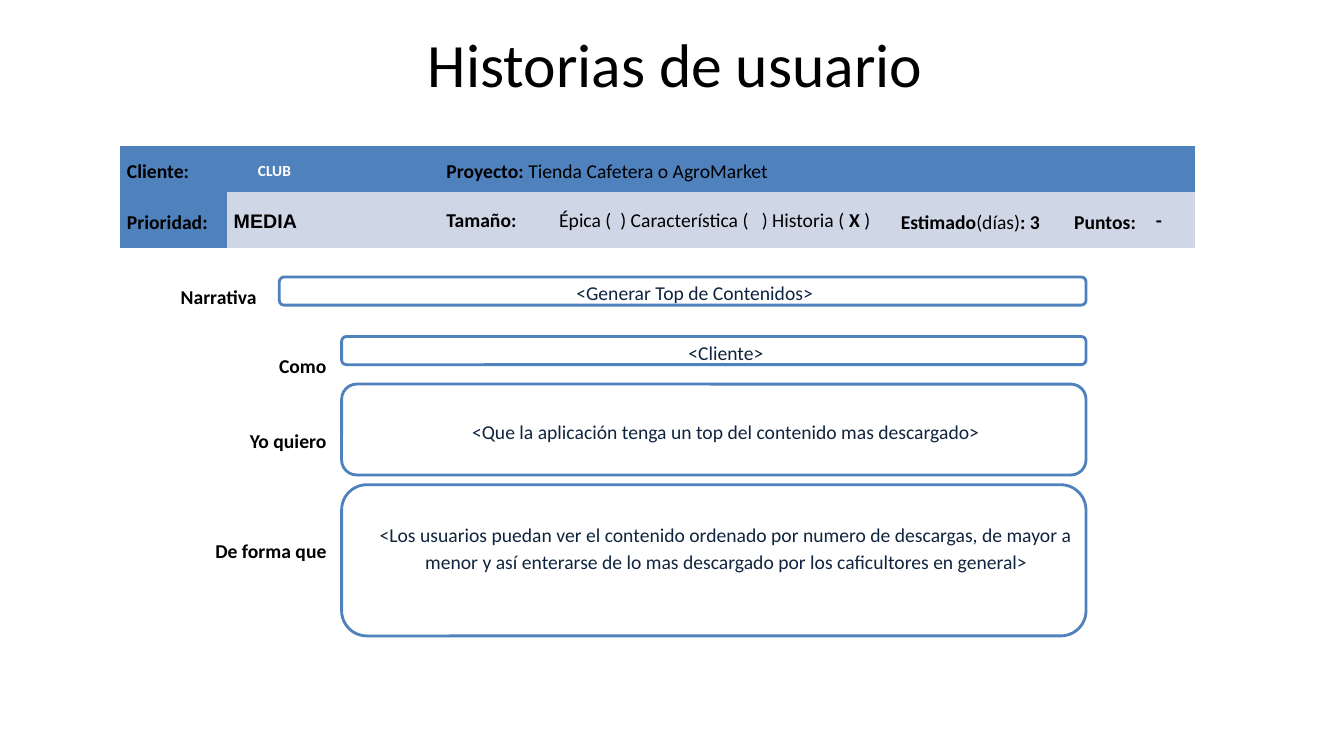
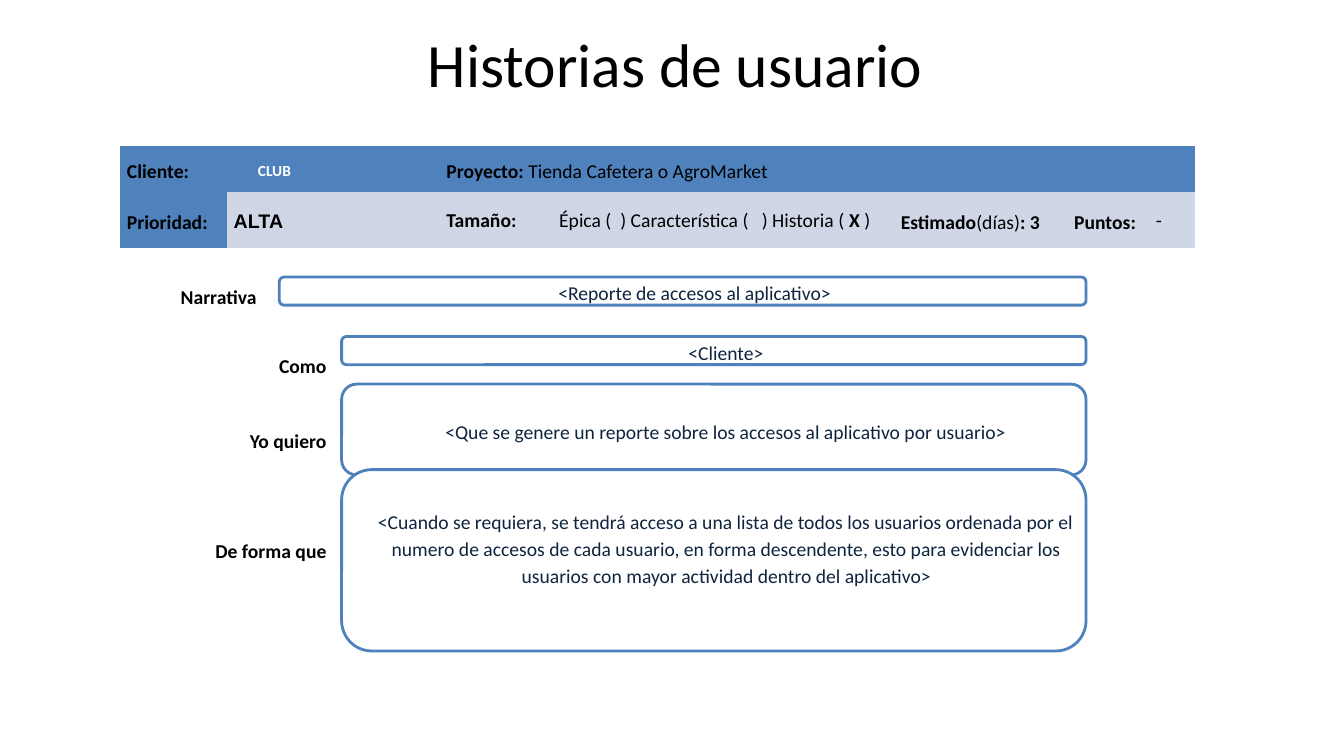
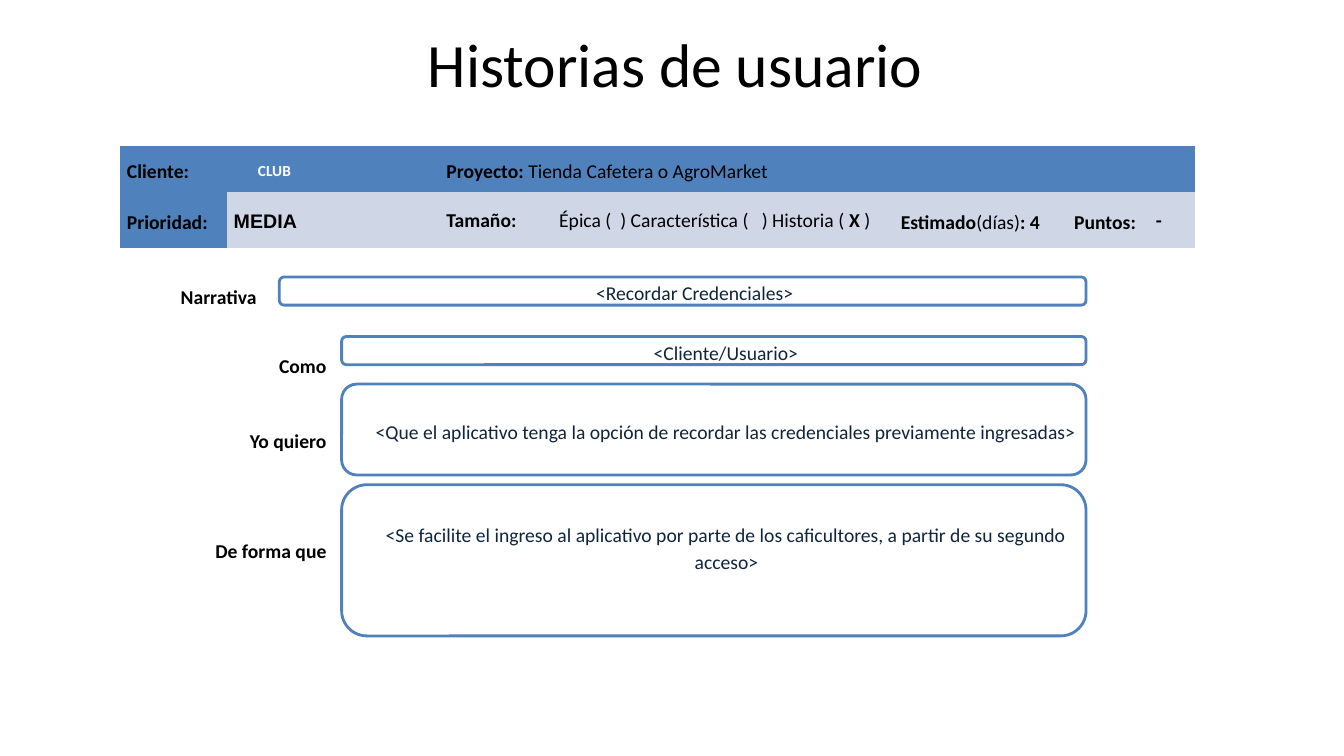
"""Builds three user story cards that share one layout."""
from collections import namedtuple
from dataclasses import dataclass

from pptx import Presentation
from pptx.dml.color import RGBColor
from pptx.enum import shapes, text
from pptx.util import Cm, Pt


@dataclass(frozen=True)
class Theme:
    blue: str = "4F81BD"
    pale: str = "CFD7E7"
    navy: str = "0F243E"
    black: str = "000000"
    white: str = "FFFFFF"
    font: str = "Calibri"
    priority_font: str = "Arial"
    title_size: int = 44
    body_size: int = 14
    client_size: int = 11
    leading: float = 1.15
    indent: float = 0.64
    hanging: float = -0.03
    border: int = 2
    no_grid: str = "{2D5ABB26-0587-4C30-8999-92F81FD0307C}"


THEME = Theme()
ALIGN = text.PP_ALIGN
MIDDLE = text.MSO_ANCHOR.MIDDLE
Story = namedtuple("Story", "priority days points_bold name role wish reason reason_height")

STORIES = [
    Story("MEDIA", 3, True, "<Generar Top de Contenidos>", "<Cliente>",
          "<Que la aplicación tenga un top del contenido mas descargado>",
          "<Los usuarios puedan ver el contenido ordenado por numero de descargas, "
          "de mayor a menor y así enterarse de lo mas descargado por los "
          "caficultores en general>", 3.81),
    Story("ALTA", 3, False, "<Reporte de accesos al aplicativo>", "<Cliente>",
          "<Que se genere un reporte sobre los accesos al aplicativo por usuario>",
          "<Cuando se requiera, se tendrá acceso a una lista de todos los usuarios "
          "ordenada por el numero de accesos de cada usuario, en forma descendente, "
          "esto para evidenciar los usuarios con mayor actividad dentro del "
          "aplicativo>", 4.57),
    Story("MEDIA", 4, True, "<Recordar Credenciales>", "<Cliente/Usuario>",
          "<Que el aplicativo tenga la opción de recordar las credenciales "
          "previamente ingresadas>",
          "<Se facilite el ingreso al aplicativo por parte de los caficultores, "
          "a partir de su segundo acceso>", 3.81),
]


def write(frame, content, size=THEME.body_size, font=THEME.font, color=THEME.black,
          bold=False, align=ALIGN.LEFT, leading=None, indented=False):
    """Write a string, or a list of (string, bold) spans, as one paragraph."""
    para = frame.paragraphs[0]
    para.alignment = align
    if leading:
        para.line_spacing = leading
    if indented:
        properties = para._p.get_or_add_pPr()
        properties.set("marL", str(int(Cm(THEME.indent))))
        properties.set("indent", str(int(Cm(THEME.hanging))))
    spans = [(content, bold)] if isinstance(content, str) else content
    for words, heavy in spans:
        span = para.add_run()
        span.text = words
        span.font.size = Pt(size)
        span.font.name = font
        span.font.bold = heavy
        span.font.color.rgb = RGBColor.from_string(color)


class Deck:
    """Holds the presentation, its theme and the current page."""

    def __init__(self, theme):
        """Start an empty widescreen deck."""
        self.theme = theme
        self.file = Presentation()
        self.file.slide_width, self.file.slide_height = Cm(33.87), Cm(19.05)
        self.page = None

    def add_page(self):
        """Start a blank page."""
        self.page = self.file.slides.add_slide(self.file.slide_layouts[6])

    def title(self, content):
        """Add the centred page title."""
        box = self.page.shapes.add_textbox(Cm(1.78), Cm(0), Cm(30.48), Cm(3.18))
        frame = box.text_frame
        frame.word_wrap = True
        frame.vertical_anchor = MIDDLE
        write(frame, content, size=self.theme.title_size, align=ALIGN.CENTER)

    def table(self, left, top, widths, heights):
        """Add a table without a grid."""
        frame = self.page.shapes.add_table(
            len(heights), len(widths), Cm(left), Cm(top), Cm(sum(widths)), Cm(sum(heights)))
        table = frame.table
        table.first_row = table.horz_banding = False
        table._tbl.tblPr[0].text = self.theme.no_grid
        for column, width in zip(table.columns, widths):
            column.width = Cm(width)
        for row, height in zip(table.rows, heights):
            row.height = Cm(height)
        return table

    def cell(self, cell, content, fill=None, **style):
        """Fill one table cell."""
        cell.vertical_anchor = MIDDLE
        cell.margin_left = cell.margin_right = Cm(0.18)
        cell.margin_top, cell.margin_bottom = Cm(0.05), Cm(0)
        if fill:
            cell.fill.solid()
            cell.fill.fore_color.rgb = RGBColor.from_string(fill)
        write(cell.text_frame, content, **style)

    def field(self, left, top, height, content, lift=0):
        """Add a rounded answer box that ends at the common right edge."""
        box = self.page.shapes.add_shape(
            shapes.MSO_SHAPE.ROUNDED_RECTANGLE,
            Cm(left), Cm(top), Cm(27.37 - left), Cm(height))
        box.shadow.inherit = False
        box.fill.solid()
        box.fill.fore_color.rgb = RGBColor.from_string(self.theme.white)
        box.line.color.rgb = RGBColor.from_string(self.theme.blue)
        box.line.width = Pt(self.theme.border)
        frame = box.text_frame
        frame.word_wrap = True
        frame.vertical_anchor = MIDDLE
        frame.margin_left = frame.margin_right = frame.margin_top = Cm(0)
        frame.margin_bottom = Cm(lift)
        write(frame, content, color=self.theme.navy, align=ALIGN.CENTER,
              leading=self.theme.leading, indented=True)

    def labels(self):
        """Add the column of prompts beside the answer boxes."""
        table = self.table(4.01, 6.65, [3, 1.4, 19.56], [1.57, 1.9, 1.9, 3.63])
        table.cell(0, 1).merge(table.cell(0, 2))
        for row, label in enumerate(["Narrativa", "Como", "Yo quiero", "De forma que"]):
            if row:
                table.cell(row, 0).merge(table.cell(row, 1))
            self.cell(table.cell(row, 0), label, bold=True, leading=self.theme.leading,
                      align=ALIGN.RIGHT if row else ALIGN.CENTER)

    def summary(self, story):
        """Add the band with client, project, priority and size."""
        theme = self.theme
        table = self.table(3.02, 3.68, [2.69, 5.36, 2.84, 8.61, 4.37, 2.06, 1.17], [1.17, 1.4])
        table.cell(0, 2).merge(table.cell(0, 6))
        spaced = {"bold": True, "leading": theme.leading}
        client = {"size": theme.client_size, "color": theme.white, "indented": True}
        project = [("Proyecto: ", True), ("Tienda Cafetera o AgroMarket", False)]
        size = [("Épica (  ) Característica (   ) Historia ( ", False), ("X", True), (" )", False)]
        estimate = [("Estimado", True), ("(días)", False), (f": {story.days}", True)]
        rows = [
            (theme.blue, [("Cliente:", spaced), ("CLUB", spaced | client), (project, spaced)]),
            (theme.pale, [("Prioridad:", spaced | {"fill": theme.blue}),
                          (story.priority, {"bold": True, "font": theme.priority_font}),
                          ("Tamaño:", {"bold": True}), (size, {}), (estimate, spaced),
                          ("Puntos:", spaced), ("-", {"bold": story.points_bold})]),
        ]
        for row, (fill, entries) in enumerate(rows):
            for column, (content, style) in enumerate(entries):
                self.cell(table.cell(row, column), content, **({"fill": fill} | style))

    def story(self, story):
        """Add one complete story page."""
        self.add_page()
        self.title("Historias de usuario")
        self.labels()
        self.field(7.04, 6.98, 0.71, story.name)
        self.field(8.61, 8.48, 0.71, story.role)
        self.field(8.61, 9.68, 2.29, story.wish)
        self.field(8.61, 14.12 - story.reason_height / 2, story.reason_height,
                   story.reason, lift=0.69)
        self.summary(story)


def main():
    """Build and save the deck."""
    deck = Deck(THEME)
    for story in STORIES:
        deck.story(story)
    deck.file.save("out.pptx")


if __name__ == "__main__":
    main()
